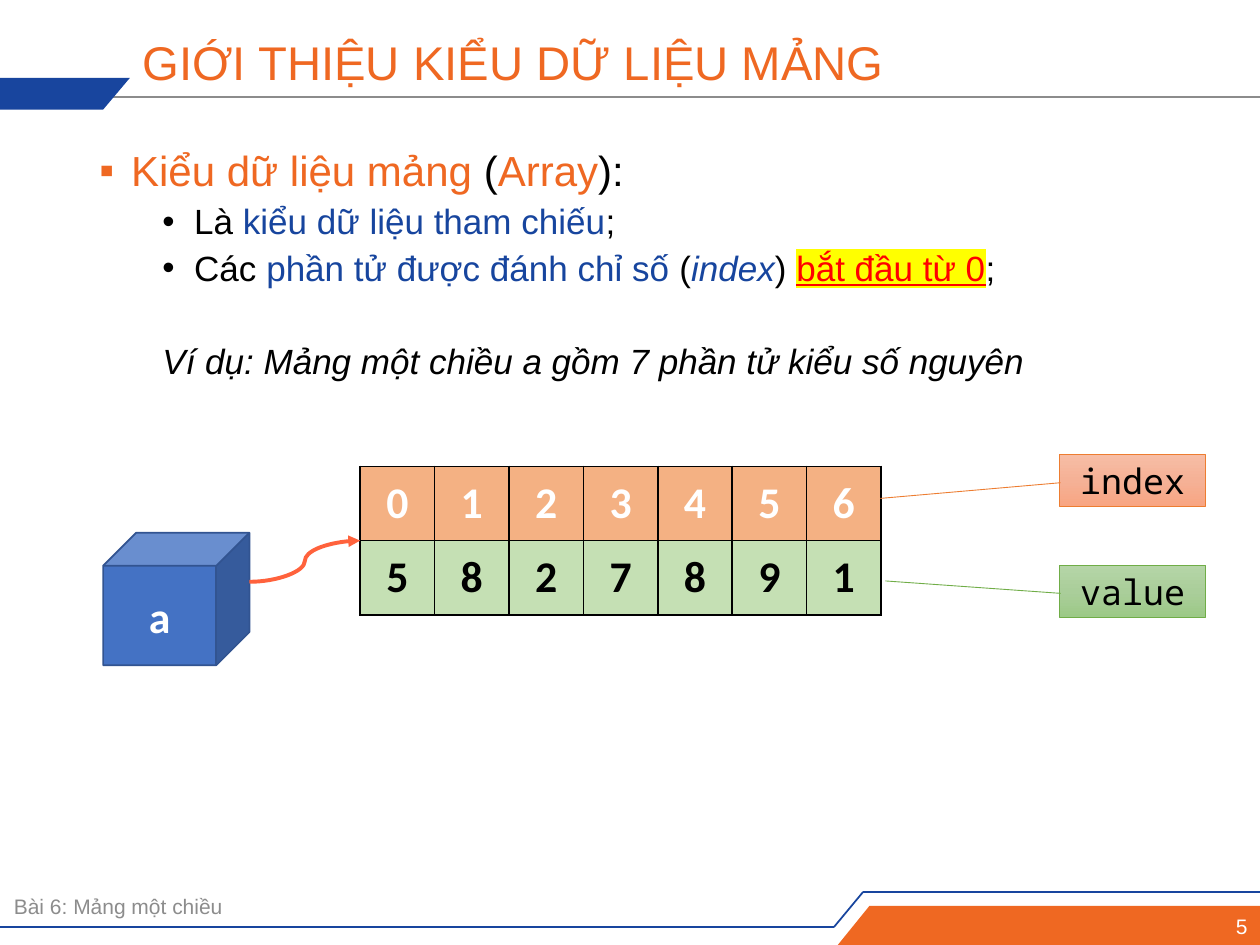
from copy import deepcopy
from dataclasses import dataclass
from itertools import pairwise

from lxml.etree import SubElement
from pptx import Presentation
from pptx.dml.color import RGBColor
from pptx.enum.shapes import MSO_CONNECTOR, MSO_SHAPE
from pptx.enum.text import MSO_ANCHOR, MSO_AUTO_SIZE, PP_ALIGN
from pptx.oxml.ns import qn
from pptx.util import Cm, Pt

COLORS = {
    "orange": "EF6822", "navy": "18459E", "blue": "17459E", "gray": "8C8C8C",
    "black": "000000", "white": "FFFFFF", "red": "FF0000", "yellow": "FFFF00",
    "index": "F4B183", "value": "C5E0B4", "cube": "4472C4", "cube edge": "325491",
    "arrow": "FF623C", "index edge": "ED7D31", "value edge": "70AD47",
}


@dataclass
class Span:
    text: str
    color: str = "black"
    italic: bool = False
    marked: bool = False


@dataclass
class Item:
    spans: list[Span]
    bullet: str = ""
    level: int = 1
    size: int = 20
    margin: float = 1.91
    before: float = 5


@dataclass
class Callout:
    text: str
    top: float
    gradient: tuple[str, str, str]
    edge: str
    pointer: tuple[float, float, float, float]


ITEMS = [
    Item([Span("Kiểu dữ liệu mảng ", "orange"), Span("("), Span("Array", "orange"), Span("):")],
         "▪", level=0, size=24, margin=0.64, before=0),
    Item([Span("Là "), Span("kiểu dữ liệu tham chiếu", "blue"), Span(";")], "•"),
    Item([Span("Các "), Span("phần tử được đánh chỉ số ", "blue"), Span("("),
          Span("index", "blue", italic=True), Span(") "),
          Span("bắt đầu từ 0", "red", marked=True), Span(";")], "•"),
    Item([Span("Ví dụ: Mảng một chiều a gồm 7 phần tử kiểu số nguyên", italic=True)],
         margin=1.27, before=32),
]
CALLOUTS = [
    Callout("index", 9.17, ("F7BDA5", "F5B196", "F8A582"), "index edge",
            (0.541, 0.007, 0.845, -1.225)),
    Callout("value", 11.4, ("B5D5A7", "AACE9A", "9CC987"), "value edge",
            (0.541, 0.007, 0.3, -1.19)),
]
ARRAY_ROWS = [
    ("0123456", "index", "white"),
    ("5821789"[:2] + "27891", "value", "black"),
]
ARRAY_ROWS[1] = ("5827891", "value", "black")


def rgb(name: str) -> RGBColor:
    return RGBColor.from_string(COLORS[name])


def place(shape, left: float, top: float, width: float, height: float) -> None:
    shape.left, shape.top, shape.width, shape.height = map(Cm, (left, top, width, height))


def style_font(font, size: float, color: str, name: str = "Arial", bold: bool = False) -> None:
    font.size, font.name, font.bold = Pt(size), name, bold
    font.color.rgb = rgb(color)


def write(frame, text: str, align, size: float, color: str, name: str = "Arial",
          bold: bool = False) -> None:
    frame.text = text
    frame.word_wrap = True
    frame.vertical_anchor = MSO_ANCHOR.MIDDLE
    para = frame.paragraphs[0]
    para.alignment = align
    style_font(para.runs[0].font, size, color, name, bold)


def add_line(page, start, end, color: str, width: float, kind=MSO_CONNECTOR.STRAIGHT):
    line = page.shapes.add_connector(kind, *map(Cm, (*start, *end)))
    line.line.color.rgb, line.line.width = rgb(color), Pt(width)
    SubElement(line._element.spPr, qn("a:effectLst"))
    return line


def add_outline(page, points, color: str) -> None:
    corners = [(Cm(x), Cm(y)) for x, y in points]
    builder = page.shapes.build_freeform(*corners[0])
    builder.add_line_segments(corners[1:], close=True)
    shape = builder.convert_to_shape()
    shape.shadow.inherit = False
    shape.fill.solid()
    shape.fill.fore_color.rgb = rgb(color)
    shape.line.fill.background()


def add_label(page, area, text: str, align, color: str) -> None:
    box = page.shapes.add_textbox(*map(Cm, area))
    write(box.text_frame, text, align, 12, color)


def add_item(para, item: Item) -> None:
    para.level = item.level
    properties = para._p.get_or_add_pPr()
    properties.set("marL", str(Cm(item.margin)))
    properties.set("indent", str(Cm(-0.64) if item.bullet else 0))
    if item.bullet:
        SubElement(properties, qn("a:buFont"), typeface="Arial")
        SubElement(properties, qn("a:buChar"), char=item.bullet)
    else:
        SubElement(properties, qn("a:buNone"))
    para.alignment = PP_ALIGN.JUSTIFY
    para.line_spacing, para.space_before = 0.9, Pt(item.before)
    for span in item.spans:
        run = para.add_run()
        run.text = span.text
        style_font(run.font, item.size, span.color)
        run.font.italic, run.font.underline = span.italic, span.marked
        if span.marked:
            run_properties = run._r.get_or_add_rPr()
            highlight = SubElement(run_properties, qn("a:highlight"))
            SubElement(highlight, qn("a:srgbClr"), val=COLORS["yellow"])
            run_properties.find(qn("a:solidFill")).addnext(highlight)


def add_array(page) -> None:
    side, columns = 1.5, len(ARRAY_ROWS[0][0])
    table = page.shapes.add_table(len(ARRAY_ROWS), columns, Cm(7.26), Cm(9.4),
                                  Cm(side * columns), Cm(side * len(ARRAY_ROWS))).table
    table.first_row = table.horz_banding = False
    for r, (digits, fill, color) in enumerate(ARRAY_ROWS):
        for c, digit in enumerate(digits):
            cell = table.cell(r, c)
            write(cell.text_frame, digit, PP_ALIGN.CENTER, 25, color, "Calibri", True)
            cell.vertical_anchor = MSO_ANCHOR.MIDDLE
            properties = cell._tc.get_or_add_tcPr()
            for edge in ("a:lnL", "a:lnR", "a:lnT", "a:lnB"):
                border = SubElement(properties, qn(edge), w=str(Pt(1)))
                paint = SubElement(border, qn("a:solidFill"))
                SubElement(paint, qn("a:srgbClr"), val=COLORS["black"])
            cell.fill.solid()
            cell.fill.fore_color.rgb = rgb(fill)


def add_callout(page, callout: Callout) -> None:
    shape = page.shapes.add_shape(MSO_SHAPE.LINE_CALLOUT_1, Cm(21.36), Cm(callout.top),
                                  Cm(2.95), Cm(1.04))
    shape.shadow.inherit = False
    for number, value in enumerate(callout.pointer):
        shape.adjustments[number] = value
    shape.fill.gradient()
    shape.fill.gradient_angle = 270
    first = shape._element.spPr.find(".//" + qn("a:gs"))
    first.addnext(deepcopy(first))
    for number, (stop, color) in enumerate(zip(shape.fill.gradient_stops, callout.gradient)):
        stop.position = number / 2
        stop.color.rgb = RGBColor.from_string(color)
    shape.line.color.rgb, shape.line.width = rgb(callout.edge), Pt(0.5)
    write(shape.text_frame, callout.text, PP_ALIGN.CENTER, 20, "black", "Noto Sans Mono")


def main() -> None:
    deck = Presentation()
    deck.slide_width, deck.slide_height = Cm(25.4), Cm(19.05)
    page = deck.slides.add_slide(deck.slide_layouts[1])

    # Header and footer bands
    add_line(page, (1.83, 1.96), (25.4, 1.96), "gray", 1)
    add_outline(page, [(2.08, 2.21), (0, 2.21), (0, 1.57), (2.62, 1.57)], "navy")
    for start, end in pairwise([(0, 18.69), (16.81, 18.69), (17.4, 17.98), (25.4, 17.98)]):
        add_line(page, start, end, "navy", 1)
    add_outline(page, [(17.53, 18.26), (25.4, 18.26), (25.4, 19.05), (16.89, 19.05)], "orange")
    add_label(page, (0.03, 17.88, 16.74, 0.79), "Bài 6: Mảng một chiều", PP_ALIGN.LEFT, "gray")
    add_label(page, (20.09, 18.31, 5.31, 0.71), "5", PP_ALIGN.RIGHT, "white")

    # Title and list
    title, body = page.placeholders
    place(title, 2.62, 0.64, 21.03, 1.35)
    write(title.text_frame, "GIỚI THIỆU KIỂU DỮ LIỆU MẢNG", PP_ALIGN.LEFT, 27, "orange")
    title.text_frame.paragraphs[0].line_spacing = 0.9
    place(body, 1.75, 2.9, 21.89, 14.25)
    for number, item in enumerate(ITEMS):
        frame = body.text_frame
        add_item(frame.add_paragraph() if number else frame.paragraphs[0], item)
    for holder in (title, body):
        holder.text_frame.auto_size = MSO_AUTO_SIZE.NONE

    # Array, its variable and the arrow between them
    add_array(page)
    cube = page.shapes.add_shape(MSO_SHAPE.CUBE, Cm(2.08), Cm(10.74), Cm(2.95), Cm(2.67))
    cube.shadow.inherit = False
    cube.fill.solid()
    cube.fill.fore_color.rgb = rgb("cube")
    cube.line.color.rgb, cube.line.width = rgb("cube edge"), Pt(1)
    write(cube.text_frame, "a", PP_ALIGN.CENTER, 25, "white", "Calibri", True)
    arrow = add_line(page, (5.03, 11.73), (7.26, 10.9), "arrow", 2.25, MSO_CONNECTOR.CURVE)
    SubElement(arrow.line._get_or_add_ln(), qn("a:tailEnd"), type="triangle")

    # Row callouts
    for callout in CALLOUTS:
        add_callout(page, callout)
    deck.save("out.pptx")


if __name__ == "__main__":
    main()
